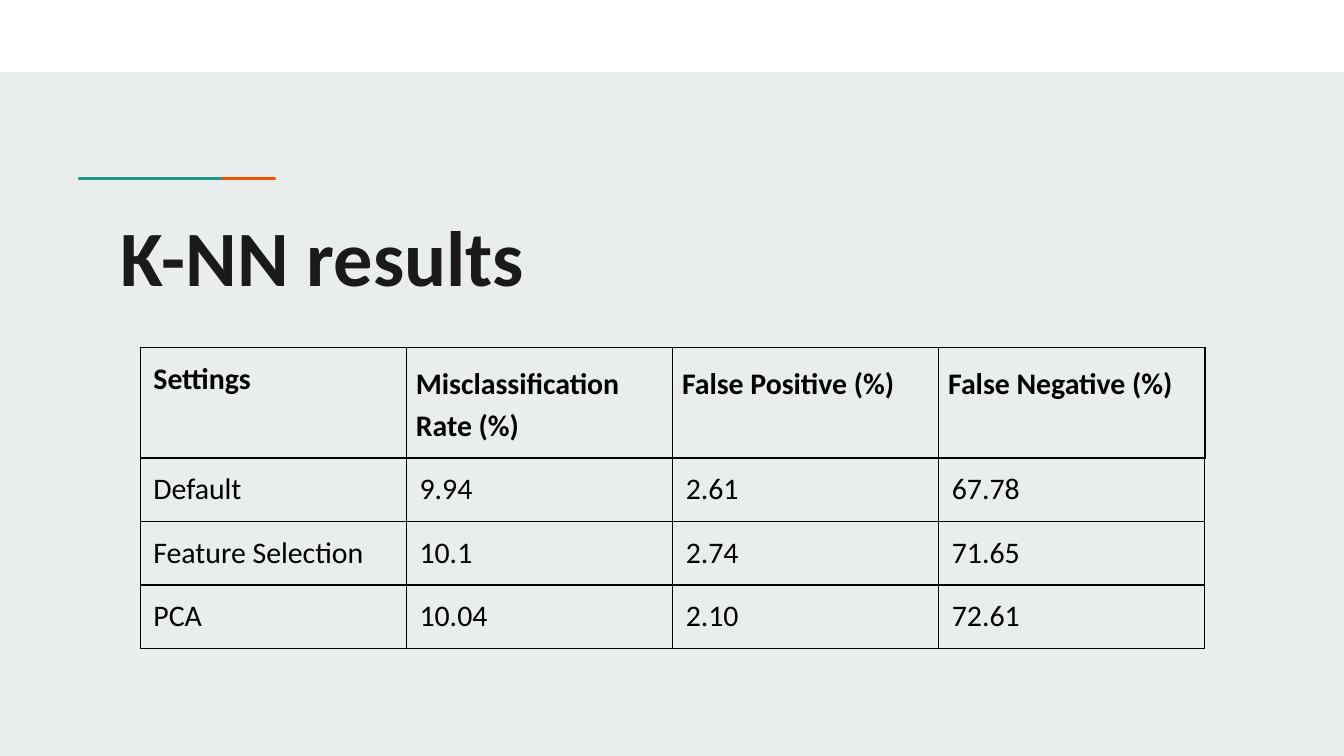
from pptx import Presentation
from pptx.dml.color import RGBColor
from pptx.enum.shapes import MSO_SHAPE
from pptx.enum.text import MSO_ANCHOR, MSO_AUTO_SIZE, PP_ALIGN
from pptx.oxml import parse_xml
from pptx.oxml.ns import nsdecls
from pptx.util import Cm, Pt

RECTANGLE = MSO_SHAPE.RECTANGLE
TOP = MSO_ANCHOR.TOP
LEFT = PP_ALIGN.LEFT
NO_AUTOFIT = MSO_AUTO_SIZE.NONE


def color(hex_string):
    return RGBColor.from_string(hex_string)


def format_text(paragraph, size, hex_string, bold):
    paragraph.alignment = LEFT
    for run in paragraph.runs:
        run.font.name = "Calibri"
        run.font.size = Pt(size)
        run.font.bold = bold
        run.font.color.rgb = color(hex_string)


presentation = Presentation()
presentation.slide_width = Cm(25.4)
presentation.slide_height = Cm(14.29)
slide = presentation.slides.add_slide(presentation.slide_layouts[5])
slide.background.fill.solid()
slide.background.fill.fore_color.rgb = color("E9EDEE")

# White top band and accent line of two overlapping bars
bars = [
    (0, 0, 25.4, 1.36, "FFFFFF"),
    (2.51, 3.35, 2.7, 0.05, "EB5600"),
    (1.48, 3.35, 2.7, 0.05, "1A9988"),
]
for left, top, width, height, fill in bars:
    shape = slide.shapes.add_shape(RECTANGLE, Cm(left), Cm(top), Cm(width), Cm(height))
    shape.shadow.inherit = False
    shape.fill.solid()
    shape.fill.fore_color.rgb = color(fill)
    shape.line.fill.background()

# Title
title = slide.shapes.title
title.left, title.top, title.width, title.height = Cm(2.03), Cm(3.68), Cm(21.36), Cm(1.88)
text_frame = title.text_frame
text_frame.text = "K-NN results"
text_frame.auto_size = NO_AUTOFIT
text_frame.word_wrap = True
text_frame.vertical_anchor = TOP
text_frame.margin_left = text_frame.margin_right = Cm(0.25)
text_frame.margin_top = text_frame.margin_bottom = Cm(0.25)
format_text(text_frame.paragraphs[0], 42, "1A1A1A", True)

# Results table
results = [
    ["Settings", "Misclassification Rate (%)", "False Positive (%)", "False Negative (%)"],
    ["Default", "9.94", "2.61", "67.78"],
    ["Feature Selection", "10.1", "2.74", "71.65"],
    ["PCA", "10.04", "2.10", "72.61"],
]
row_heights = [2.08, 1.2, 1.2, 1.2]
column_width = 5.03
table = slide.shapes.add_table(
    len(results), len(results[0]), Cm(2.65), Cm(6.57),
    Cm(column_width * len(results[0])), Cm(sum(row_heights)),
).table
table.first_row = False
table.horz_banding = False
for column in table.columns:
    column.width = Cm(column_width)

for row_index, values in enumerate(results):
    table.rows[row_index].height = Cm(row_heights[row_index])
    for column_index, value in enumerate(values):
        is_header = row_index == 0
        is_measure_header = is_header and column_index > 0
        cell = table.cell(row_index, column_index)
        cell.text = value
        cell.vertical_anchor = TOP
        cell.margin_left = cell.margin_right = Cm(0.18 if is_measure_header else 0.25)
        cell.margin_top = cell.margin_bottom = Cm(0.25)
        paragraph = cell.text_frame.paragraphs[0]
        format_text(paragraph, 16, "000000", is_header)
        if is_measure_header:
            paragraph.line_spacing = 1.15
            paragraph.space_before = paragraph.space_after = Pt(12)

        # Borders are heavier around the measure headers
        border_widths = {
            "lnL": 1 if is_measure_header else 0.75,
            "lnR": 1 if is_header else 0.75,
            "lnT": 1 if column_index > 0 and row_index < 2 else 0.75,
            "lnB": 1 if is_measure_header else 0.75,
        }
        properties = cell._tc.get_or_add_tcPr()
        for edge, width in border_widths.items():
            properties.append(parse_xml(
                f'<a:{edge} {nsdecls("a")} w="{Pt(width)}"><a:solidFill>'
                f'<a:srgbClr val="000000"/></a:solidFill></a:{edge}>'
            ))
        cell.fill.background()

presentation.save("out.pptx")
